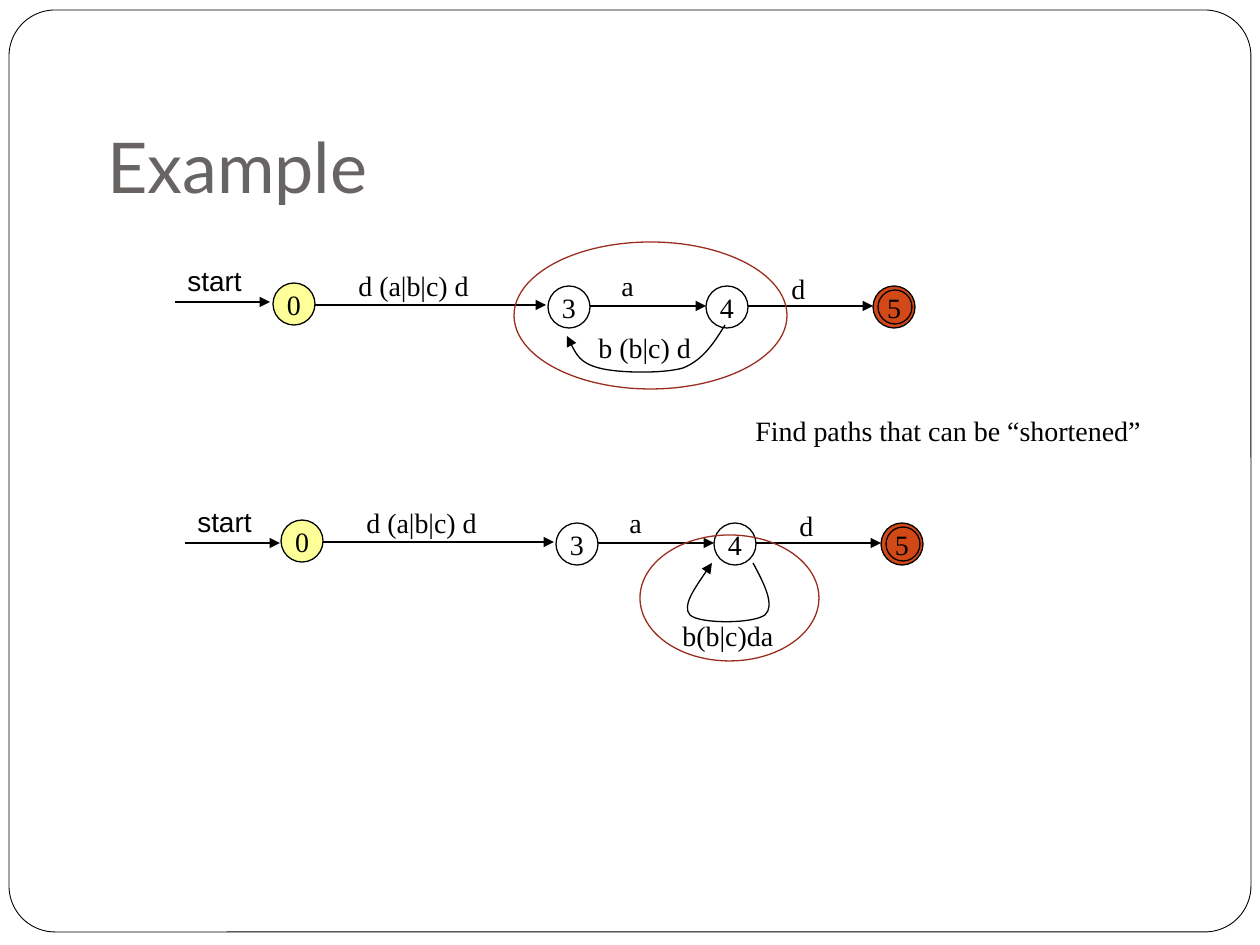
import lxml.etree
import pptx
import pptx.dml.color
import pptx.enum.shapes
import pptx.enum.text
import pptx.oxml.ns
import pptx.util

PX = 914400 / 126
BLACK, WHITE, RED = "000000", "FFFFFF", "9B2D1F"
YELLOW, ORANGE, GREY = "FFFF99", "D34817", "696464"
SERIF = "Times New Roman"
NODE = 42
SHAPE = pptx.enum.shapes.MSO_SHAPE
ANCHOR = pptx.enum.text.MSO_ANCHOR
ALIGN = pptx.enum.text.PP_ALIGN
qn = pptx.oxml.ns.qn


def px(*values):
    return [pptx.util.Emu(round(v * PX)) for v in values]


def rgb(color):
    return pptx.dml.color.RGBColor.from_string(color)


def write(tf, text, size=16, font=SERIF, color=BLACK, align=ALIGN.LEFT,
          anchor=ANCHOR.TOP, wrap=False):
    tf.word_wrap = wrap
    tf.vertical_anchor = anchor
    p = tf.paragraphs[0]
    p.alignment = align
    r = p.add_run()
    r.text = text
    r.font.size = pptx.util.Pt(size)
    r.font.name = font
    r.font.color.rgb = rgb(color)


def add_arrowhead(s):
    ln = s.element.spPr.find(qn("a:ln"))
    lxml.etree.SubElement(ln, qn("a:tailEnd"), type="triangle")


class Diagram:
    def __init__(self, slide, line_width=0.75):
        self.slide = slide
        self.line_width = line_width

    def outline(self, s, color=BLACK, width=None):
        s.line.color.rgb = rgb(color)
        s.line.width = pptx.util.Pt(width or self.line_width)

    def shape(self, kind, x, y, w, h, fill=None, line=BLACK, width=None):
        s = self.slide.shapes.add_shape(kind, *px(x, y, w, h))
        s.shadow.inherit = False
        if fill:
            s.fill.solid()
            s.fill.fore_color.rgb = rgb(fill)
        else:
            s.fill.background()
        self.outline(s, line, width)
        return s

    def node(self, x, y, text, fill=None):
        s = self.shape(SHAPE.OVAL, x, y, NODE, NODE, fill)
        write(s.text_frame, text, align=ALIGN.CENTER, anchor=ANCHOR.MIDDLE)

    def highlight(self, x, y, w, h):
        self.shape(SHAPE.OVAL, x, y, w, h, line=RED)

    def label(self, x, y, w, text, h=47, **style):
        tf = self.slide.shapes.add_textbox(*px(x, y, w, h)).text_frame
        write(tf, text, **style)
        return tf

    def arrow(self, x1, x2, y):
        s = self.slide.shapes.add_connector(
            pptx.enum.shapes.MSO_CONNECTOR.STRAIGHT, *px(x1, y, x2, y))
        self.outline(s)
        add_arrowhead(s)
        lxml.etree.SubElement(s.element.spPr, qn("a:effectLst"))

    def curve(self, start, *points):
        """Draw an arrow along cubic Béziers, three points per segment."""
        builder = self.slide.shapes.build_freeform(*px(*start))
        builder.add_line_segments([px(*p) for p in points], close=False)
        s = builder.convert_to_shape()
        s.shadow.inherit = False
        s.fill.background()
        self.outline(s)
        add_arrowhead(s)
        path = s.element.find(".//" + qn("a:path"))
        segments = path.findall(qn("a:lnTo"))
        for i in range(0, len(segments), 3):
            bezier = lxml.etree.SubElement(path, qn("a:cubicBezTo"))
            for segment in segments[i:i + 3]:
                bezier.append(segment[0])
                path.remove(segment)

    def automaton(self, dx, dy, start_x, start_y):
        """Draw the states and the forward transitions shared by both rows."""
        self.arrow(start_x, start_x + 95, start_y)
        self.label(start_x, start_y - 45, 87, "start", h=50, font="Arial")
        for x, y, text, fill in ((273, 283, "0", YELLOW), (548, 286, "3", None),
                                 (706, 286, "4", None), (873, 286, "5", ORANGE)):
            self.node(x + dx, y + dy, text, fill)
        self.shape(SHAPE.OVAL, 878 + dx, 290 + dy, 34, 34)
        for x1, x2, y in ((315, 546, 305), (590, 706, 306), (748, 873, 306)):
            self.arrow(x1 + dx, x2 + dx, y + dy)
        for x, y, w, text in ((346, 262, 136, "d (a|b|c) d"),
                              (609, 262, 38, "a"), (779, 265, 39, "d")):
            self.label(x + dx, y + dy, w, text)


def main():
    prs = pptx.Presentation()
    prs.slide_width, prs.slide_height = px(1260, 945)
    d = Diagram(prs.slides.add_slide(prs.slide_layouts[6]))

    frame = d.shape(SHAPE.ROUNDED_RECTANGLE, 9, 10, 1242, 922, WHITE, width=0.5)
    frame.adjustments[0] = 0.05
    title = d.label(95, 63, 1071, "Example", h=157, size=40, font="Lato",
                    color=GREY, anchor=ANCHOR.BOTTOM, wrap=True)
    title.margin_bottom = pptx.util.Inches(0.1)

    d.automaton(0, 0, 175, 302)
    d.curve((725, 325), (714, 343), (703, 360), (683, 368),
            (662, 374), (617, 373), (599, 368),
            (580, 363), (573, 349), (567, 336))
    d.label(586, 324, 118, "b (b|c) d")
    d.highlight(514, 242, 273, 147)

    d.label(743, 407, 413, "Find paths that can be “shortened”")

    d.automaton(8, 237, 185, 543)
    d.curve((753, 563), (765, 585), (775, 606), (765, 615),
            (753, 624), (699, 624), (690, 615),
            (682, 606), (697, 585), (712, 563))
    d.label(670, 612, 117, "b(b|c)da")
    d.highlight(640, 535, 179, 126)

    prs.save("out.pptx")


if __name__ == "__main__":
    main()
